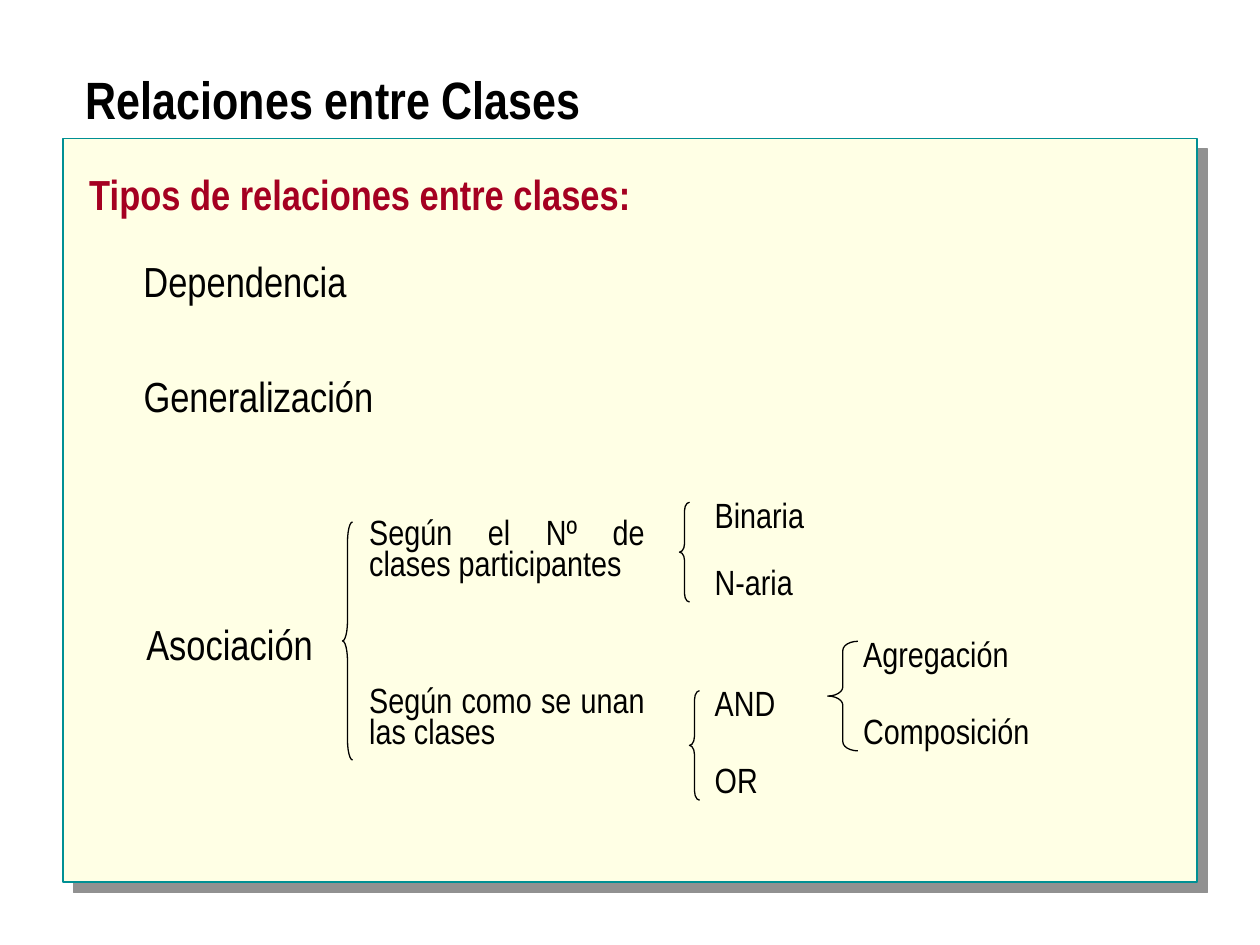
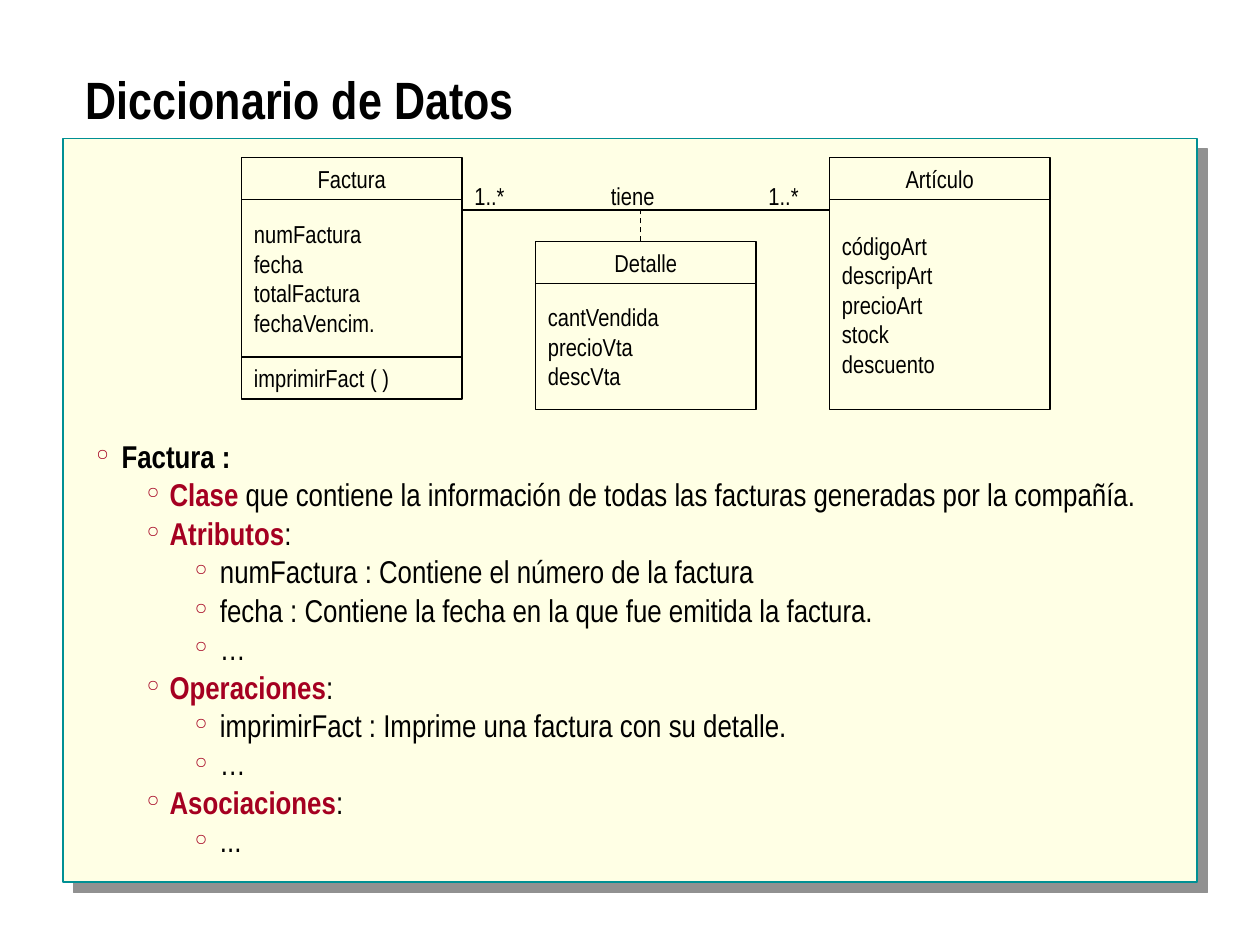
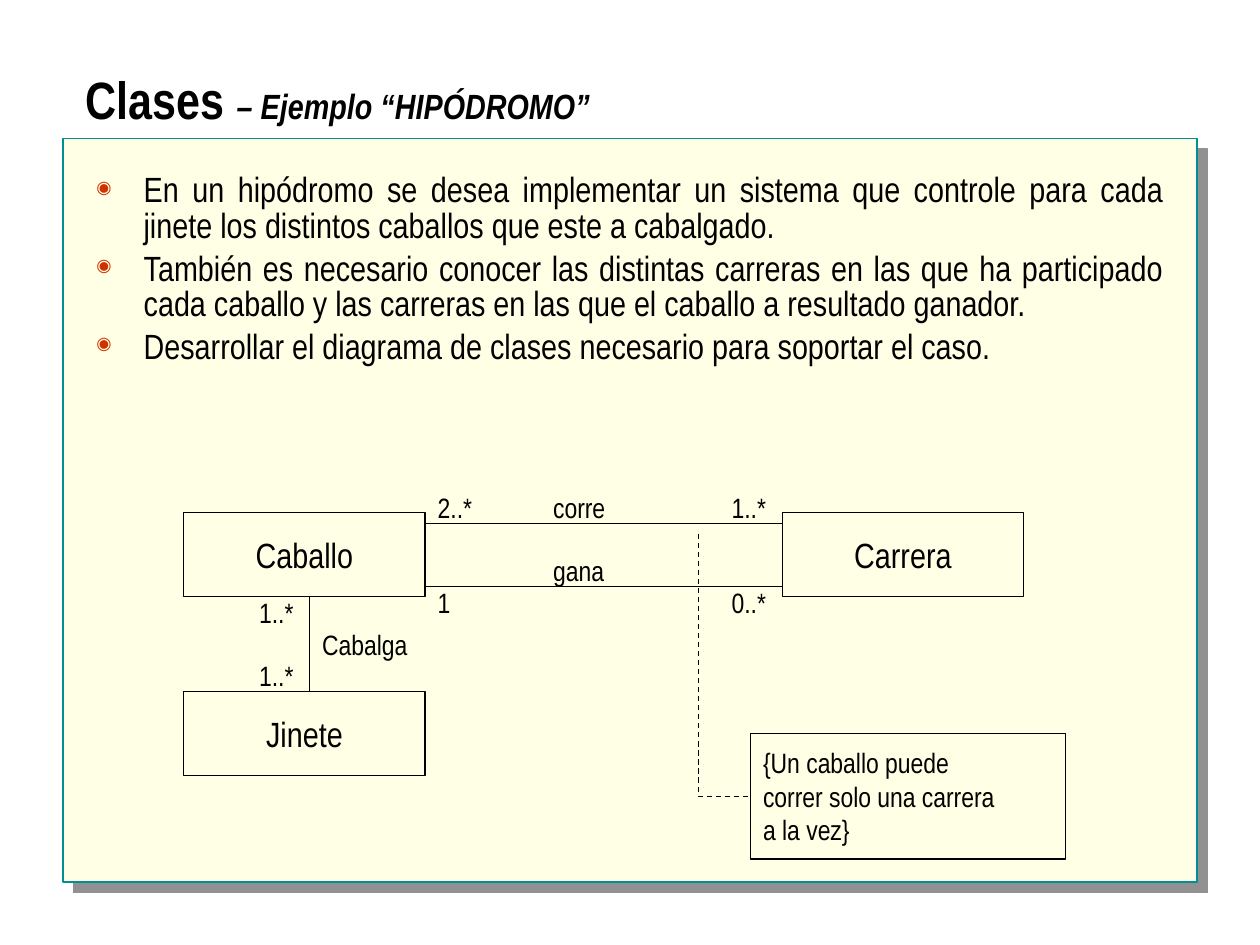
from lxml.etree import SubElement
from pptx import Presentation
from pptx.dml.color import RGBColor
from pptx.enum.dml import MSO_LINE
from pptx.enum.shapes import MSO_CONNECTOR, MSO_SHAPE
from pptx.enum.text import MSO_ANCHOR, MSO_AUTO_SIZE, PP_ALIGN
from pptx.oxml.ns import qn
from pptx.util import Pt

# Shared look
FONT = "Arial Narrow"
BLACK = RGBColor(0x00, 0x00, 0x00)
CREAM = RGBColor(0xFF, 0xFF, 0xE5)
TEAL = RGBColor(0x00, 0x90, 0x94)
GREY = RGBColor(0x91, 0x91, 0x91)
CRIMSON = RGBColor(0xA5, 0x00, 0x21)
ORANGE = RGBColor(0xCC, 0x33, 0x00)
TIGHT = (3, 0.6)
NORMAL = (7.2, 3.6)

# Slide 1: relation types (text, left, top, width)
HEADING = "Tipos de relaciones entre clases:"
KINDS = [
    ("Dependencia", 79, 145.3, 122.5),
    ("Generalización", 79, 211, 137.5),
    ("Asociación", 80.6, 353, 101.5),
]
# (paragraphs, box, line spacing of each, space after in lines)
BRANCHES = [
    (["Según el Nº de clases participantes", "Según como se unan las clases"],
     (208, 296.6, 163.5, 145.5), (0.75, 0.75), 3),
    (["Binaria", "N-aria"], (405.4, 281.5, 62.6, 67.7), (1, 0.75), 1),
    (["AND", "OR"], (405.4, 388.8, 62.6, 73.4), (1, 1), 1),
    (["Agregación", "Composición"], (490.3, 360.7, 113, 73.4), (1, 1), 1),
]
BRACES = [
    (195.7, 298.3, 5.76, 136),
    (388.3, 287, 5.76, 57),
    (394, 394.7, 5.76, 62.6),
    (473, 366.5, 17.3, 62.6),
]

# Slide 2: classes (left, top, name, compartments with their heights)
CLASS_W, NAME_H = 126, 24
CLASSES = [
    (138, 90, "Factura", [
        (["numFactura", "fecha", "totalFactura", "fechaVencim."], 90),
        (["imprimirFact ( )"], 24)]),
    (474, 90, "Artículo", [
        (["códigoArt", "descripArt", "precioArt", "stock", "descuento"], 120)]),
    (306, 138, "Detalle", [(["cantVendida", "precioVta", "descVta"], 72)]),
]
HAS_LABELS = [("1..*", 264, 100, 32), ("tiene", 342, 100, 40), ("1..*", 432, 100, 32)]
# (level, lead, rest)
DICTIONARY = [
    (0, "Factura :", ""),
    (1, "Clase", " que contiene la información de todas las facturas generadas por la compañía."),
    (1, "Atributos", ":"),
    (2, "", "numFactura : Contiene el número de la factura"),
    (2, "", "fecha : Contiene la fecha en la que fue emitida la factura."),
    (2, "", "…"),
    (1, "Operaciones", ":"),
    (2, "", "imprimirFact : Imprime una factura con su detalle."),
    (2, "", "…"),
    (1, "Asociaciones", ":"),
    (2, "", "..."),
]
# Left margin and hanging indent for each level
LEVELS = [(14.4, 14.4), (41.8, 13), (70.6, 14.4)]

# Slide 3: racecourse example
CASE = [
    "En un hipódromo se desea implementar un sistema que controle para cada jinete "
    "los distintos caballos que este a cabalgado.",
    "También es necesario conocer las distintas carreras en las que ha participado "
    "cada caballo y las carreras en las que el caballo a resultado ganador.",
    "Desarrollar el diagrama de clases necesario para soportar el caso.",
]
ENTITY_W, ENTITY_H = 138, 48
ENTITIES = [("Caballo", 105, 293), ("Carrera", 447, 293), ("Jinete", 105, 395)]
RELATIONS = [(447, 299, 243, 299), (447, 335, 243, 335), (177, 341, 177, 395)]
RELATION_LABELS = [
    ("corre", 309, 277, 46), ("gana", 309, 313, 46), ("2..*", 243, 277, 35),
    ("Cabalga", 177, 355, 65), ("1..*", 411, 277, 35), ("1..*", 141, 337, 35),
    ("1..*", 141, 373, 35), ("1", 243, 331, 23), ("0..*", 411, 331, 35),
]
NOTE = ["{Un caballo puede", "correr solo una carrera", "a la vez}"]
NOTE_BOX = (429, 419, 180, 72)
NOTE_LINK = [(399, 305), (399, 455), (429, 455)]


def style(r, size, color=BLACK, bold=False, italic=False):
    f = r.font
    f.name, f.size, f.bold, f.italic = FONT, Pt(size), bold, italic
    f.color.rgb = color


def fill_text(tf, lines, size, align, color=BLACK, bold=False):
    for i, line in enumerate(lines):
        p = tf.paragraphs[0] if i == 0 else tf.add_paragraph()
        p.text = line
        p.alignment = align
        for r in p.runs:
            style(r, size, color, bold)


def text(s, lines, box, size, align=PP_ALIGN.LEFT, wrap=False, inset=NORMAL, **look):
    tf = s.shapes.add_textbox(*map(Pt, box)).text_frame
    tf.word_wrap = wrap
    tf.auto_size = MSO_AUTO_SIZE.SHAPE_TO_FIT_TEXT
    tf.margin_left = tf.margin_right = Pt(inset[0])
    tf.margin_top = tf.margin_bottom = Pt(inset[1])
    fill_text(tf, lines, size, align, **look)
    return tf


def outline(sp, dashed=False):
    sp.shadow.inherit = False
    sp.fill.background()
    sp.line.color.rgb = BLACK
    sp.line.width = Pt(0.75)
    if dashed:
        sp.line.dash_style = MSO_LINE.DASH


def box(s, lines, at, size, align=PP_ALIGN.LEFT):
    sp = s.shapes.add_shape(MSO_SHAPE.RECTANGLE, *map(Pt, at))
    outline(sp)
    tf = sp.text_frame
    tf.word_wrap = False
    tf.vertical_anchor = MSO_ANCHOR.MIDDLE
    fill_text(tf, lines, size, align)


def line(s, ends, dashed=False):
    c = s.shapes.add_connector(MSO_CONNECTOR.STRAIGHT, *map(Pt, ends))
    c.line.color.rgb = BLACK
    c.line.width = Pt(0.75)
    if dashed:
        c.line.dash_style = MSO_LINE.DASH
    SubElement(c._element.spPr, qn("a:effectLst"))


def bullet(p, char, color, size, margin, hang):
    p.line_spacing = 0.85
    p.space_after = Pt(size * 0.2)
    pPr = p._p.get_or_add_pPr()
    pPr.set("marL", str(Pt(margin)))
    pPr.set("indent", str(-Pt(hang)))
    SubElement(SubElement(pPr, qn("a:buClr")), qn("a:srgbClr"), val=str(color))
    SubElement(pPr, qn("a:buSzPct"), val="50000")
    SubElement(pPr, qn("a:buChar"), char=char)


def new_slide(prs, title, subtitle=""):
    s = prs.slides.add_slide(prs.slide_layouts[6])
    # Panel with its hard shadow
    sp = s.shapes.add_shape(MSO_SHAPE.RECTANGLE, Pt(36), Pt(79.2), Pt(648), Pt(424.8))
    sp.shadow.inherit = False
    sp.fill.solid()
    sp.fill.fore_color.rgb = CREAM
    sp.line.color.rgb = TEAL
    sp.line.width = Pt(1)
    effects = sp._element.spPr.find(qn("a:effectLst"))
    shadow = SubElement(effects, qn("a:outerShdw"), dist=str(Pt(8.5)),
                        dir="2700000", algn="ctr", rotWithShape="0")
    SubElement(shadow, qn("a:srgbClr"), val=str(GREY))
    # Title
    tf = s.shapes.add_textbox(Pt(42), Pt(42), Pt(636), Pt(36)).text_frame
    tf.word_wrap = True
    fill_text(tf, [title], 30, PP_ALIGN.LEFT, bold=True)
    p = tf.paragraphs[0]
    p.line_spacing = 0.8
    if subtitle:
        r = p.add_run()
        r.text = subtitle
        style(r, 20, bold=True, italic=True)
    return s


def relation_types(prs):
    s = new_slide(prs, "Relaciones entre Clases")
    tf = text(s, [HEADING], (48, 100, 624, 26), 24, PP_ALIGN.JUSTIFY, True, TIGHT,
              color=CRIMSON, bold=True)
    tf.paragraphs[0].line_spacing = 0.85
    for name, x, y, w in KINDS:
        text(s, [name], (x, y, w, 30.2), 24, PP_ALIGN.JUSTIFY, False, TIGHT)
    for lines, at, spacings, after in BRANCHES:
        tf = text(s, lines, at, 20, PP_ALIGN.JUSTIFY, True, TIGHT)
        for p, spacing in zip(tf.paragraphs, spacings):
            p.line_spacing = spacing
            p.space_after = Pt(20 * after)
    for x, y, w, h in BRACES:
        sp = s.shapes.add_shape(MSO_SHAPE.LEFT_BRACE, Pt(x), Pt(y), Pt(w), Pt(h))
        sp.adjustments[0] = h / w / 12
        outline(sp)


def data_dictionary(prs):
    s = new_slide(prs, "Diccionario de Datos")
    # Class diagram
    for x, y, name, compartments in CLASSES:
        box(s, [name], (x, y, CLASS_W, NAME_H), 14, PP_ALIGN.CENTER)
        y += NAME_H
        for lines, h in compartments:
            box(s, lines, (x, y, CLASS_W, h), 14)
            y += h
    line(s, (474, 120, 264, 120))
    line(s, (366, 138, 366, 120), dashed=True)
    for label, x, y, w in HAS_LABELS:
        text(s, [label], (x, y, w, 24), 14)
    # Dictionary entries
    tf = text(s, [lead for _, lead, _ in DICTIONARY], (48, 249.4, 624, 254), 18,
              PP_ALIGN.JUSTIFY, True, color=CRIMSON, bold=True)
    for p, (level, _, rest) in zip(tf.paragraphs, DICTIONARY):
        p.level = level
        bullet(p, "○", CRIMSON, 18, *LEVELS[level])
        if rest:
            r = p.add_run()
            r.text = rest
            style(r, 18)
    tf.paragraphs[0].runs[0].font.color.rgb = BLACK


def racecourse(prs):
    s = new_slide(prs, "Clases ", "– Ejemplo “HIPÓDROMO”")
    tf = text(s, CASE, (48, 96, 624, 119), 20, PP_ALIGN.JUSTIFY, True)
    for p in tf.paragraphs:
        bullet(p, "◉", ORANGE, 20, 27, 27)
    # Class diagram
    for name, x, y in ENTITIES:
        box(s, [name], (x, y, ENTITY_W, ENTITY_H), 20, PP_ALIGN.CENTER)
    for ends in RELATIONS:
        line(s, ends)
    for label, x, y, w in RELATION_LABELS:
        text(s, [label], (x, y, w, 26.6), 16)
    # Constraint note
    box(s, NOTE, NOTE_BOX, 16)
    start, *rest = [(Pt(x), Pt(y)) for x, y in NOTE_LINK]
    fb = s.shapes.build_freeform(*start)
    fb.add_line_segments(rest, close=False)
    outline(fb.convert_to_shape(), dashed=True)


def main():
    prs = Presentation()
    prs.slide_width, prs.slide_height = Pt(720), Pt(540)
    relation_types(prs)
    data_dictionary(prs)
    racecourse(prs)
    prs.save("out.pptx")


if __name__ == "__main__":
    main()
